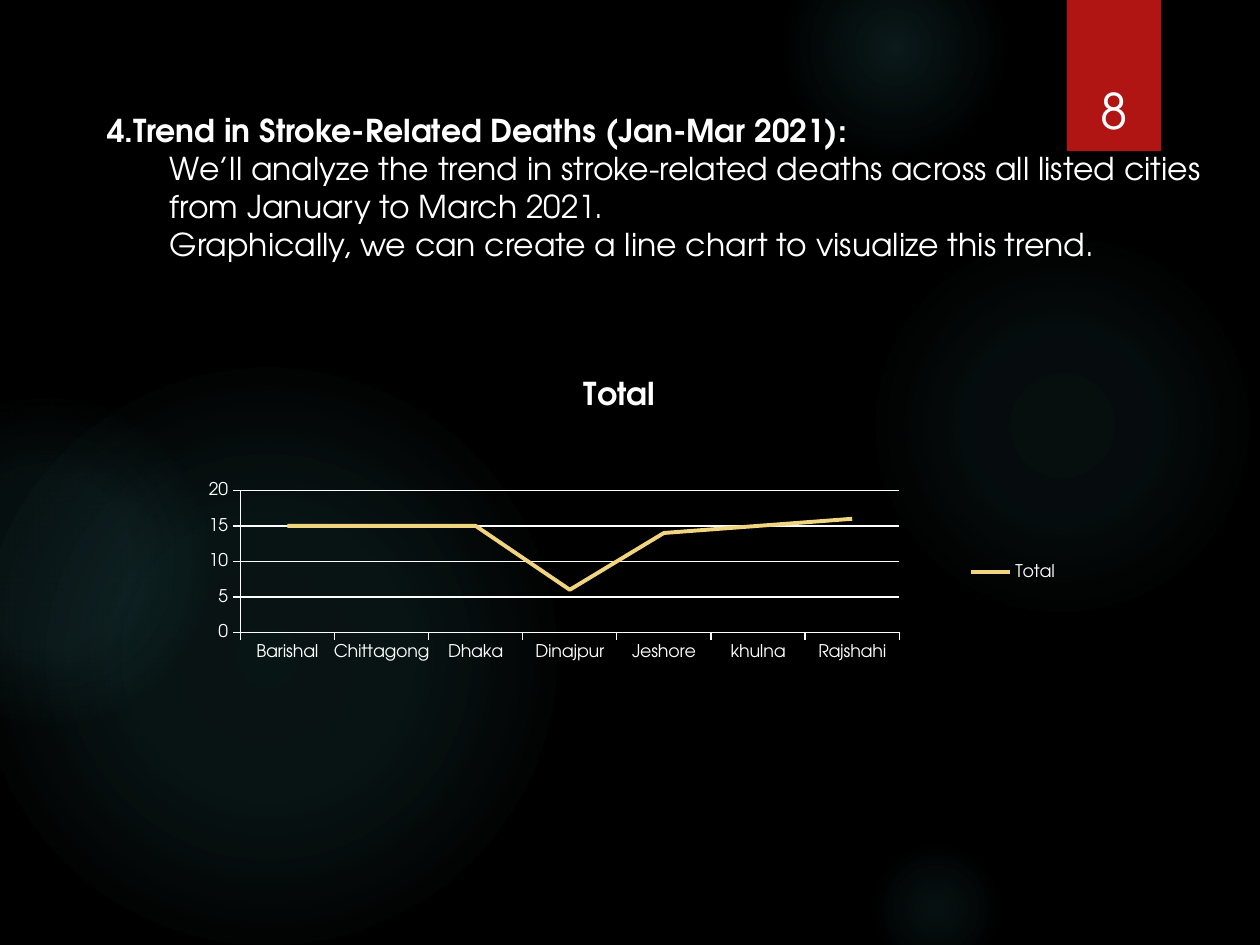
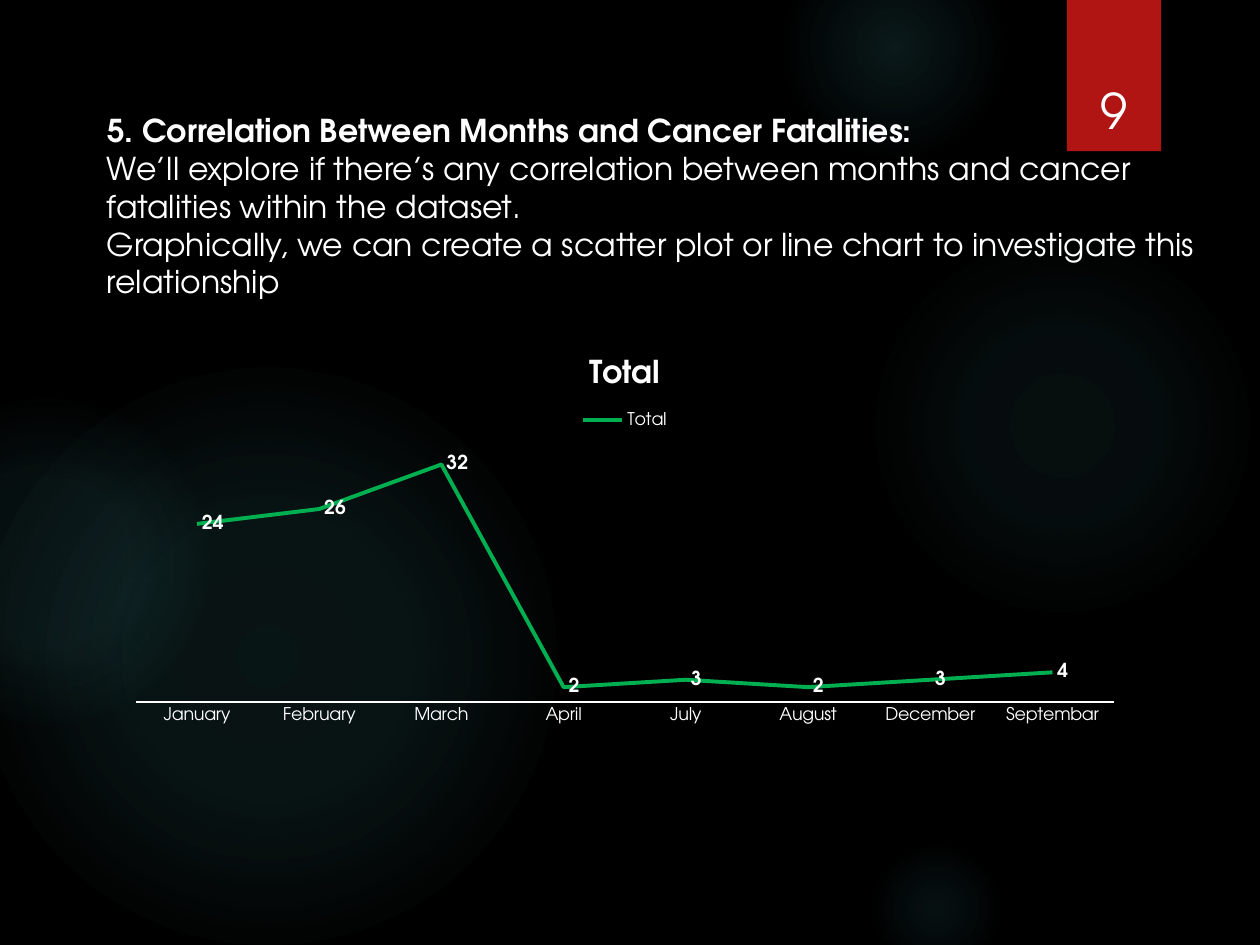
from dataclasses import dataclass

from pptx import Presentation
from pptx.chart.data import CategoryChartData as Data
from pptx.dml.color import RGBColor as Rgb
from pptx.enum.chart import XL_CHART_TYPE as Kind
from pptx.enum.chart import XL_LABEL_POSITION as Spot
from pptx.enum.chart import XL_LEGEND_POSITION as Side
from pptx.enum.chart import XL_TICK_MARK as Tick
from pptx.enum.shapes import MSO_SHAPE as Form
from pptx.enum.text import MSO_ANCHOR as Anchor
from pptx.enum.text import MSO_AUTO_SIZE as Fit
from pptx.enum.text import PP_ALIGN as Align
from pptx.oxml import parse_xml as to_xml
from pptx.oxml.ns import nsdecls, qn
from pptx.util import Inches, Pt

COLS, ROWS = 120, 90


@dataclass(frozen=True)
class Theme:
    face: str = "TeX Gyre Adventor"
    back: str = "000000"
    ink: str = "FFFFFF"
    glow: str = "50B9C1"
    band: str = "B01513"
    gold: str = "F0D47F"
    green: str = "00B050"
    head: int = 18
    body: int = 18
    page: int = 28
    axis: int = 10
    label: int = 11
    rule: float = 0.75
    trend: float = 2.25


THEME = Theme()

GLOWS = [
    (82.67, 22, 37, (7, 6), 69),
    (74.67, -6, 21, (14, 7), 73),
    (82.67, 80, 13, (9, 5), 66),
    (-2, 35, 55, (11, 10), 75),
    (-11, 38, 31, (8, 8), 72),
]


def style(font, size, color=THEME.ink, bold=False):
    font.name = THEME.face
    font.size = Pt(size)
    font.bold = bold
    font.color.rgb = Rgb.from_string(color)


def write(frame, text, size=THEME.body, bold=False, align=Align.LEFT,
          anchor=Anchor.TOP, level=0):
    frame.word_wrap = True
    frame.vertical_anchor = anchor
    frame.text = text
    for para in frame.paragraphs:
        para.alignment = align
        if level:
            para.level = level
            para._p.get_or_add_pPr().set("marL", str(Inches(0.5 * level)))
            para._p.get_or_add_pPr().set("indent", "0")
        for run in para.runs:
            style(run.font, size, bold=bold)


class Deck:
    def __init__(self, theme):
        self.theme = theme
        self.show = Presentation()
        self.show.slide_width = Inches(10)
        self.show.slide_height = Inches(7.5)
        fill = self.show.slide_master.background.fill
        fill.solid()
        fill.fore_color.rgb = Rgb.from_string(theme.back)
        self.slide = None

    def box(self, left, top, width, height):
        col = self.show.slide_width / COLS
        row = self.show.slide_height / ROWS
        return [round(n * unit) for n, unit in
                ((left, col), (top, row), (width, col), (height, row))]

    def shape(self, form, *area):
        shape = self.slide.shapes.add_shape(form, *self.box(*area))
        shape.shadow.inherit = False
        shape.line.fill.background()
        return shape

    def glow(self, left, top, size, alphas, edge):
        shape = self.shape(Form.OVAL, left, top, size, size)
        shape.fill.background()
        stops = "".join(
            f'<a:gs pos="{pos * 1000}"><a:srgbClr val="{self.theme.glow}">'
            f'<a:alpha val="{alpha * 1000}"/></a:srgbClr></a:gs>'
            for pos, alpha in zip((0, 36, edge), (*alphas, 0)))
        props = shape.element.spPr
        props.replace(props.find(qn("a:noFill")), to_xml(
            f'<a:gradFill {nsdecls("a")}><a:gsLst>{stops}</a:gsLst>'
            '<a:path path="circle"><a:fillToRect l="50000" t="50000" '
            'r="50000" b="50000"/></a:path></a:gradFill>'))

    def text(self, text, area, **format):
        box = self.slide.shapes.add_textbox(*self.box(*area))
        write(box.text_frame, text, **format)

    def title(self, text, *area):
        title = self.slide.shapes.title
        title.left, title.top, title.width, title.height = self.box(*area)
        self.slide.shapes.element.append(title.element)
        write(title.text_frame, text, size=self.theme.head, bold=True)
        title.text_frame.auto_size = Fit.NONE

    def start(self, page, head, body, level=0):
        self.slide = self.show.slides.add_slide(self.show.slide_layouts[5])
        for spot in GLOWS:
            self.glow(*spot)
        band = self.shape(Form.RECTANGLE, 101.6, 0, 9, 14.4)
        band.fill.solid()
        band.fill.fore_color.rgb = Rgb.from_string(self.theme.band)
        self.title(head, 9, 10, 92, 4.8)
        self.text("\n".join(body), (9, 13.6, 107, 15.8), level=level)
        self.text(str(page), (101.9, 3.8, 8.3, 10.1), size=self.theme.page,
                  align=Align.CENTER, anchor=Anchor.BOTTOM)

    def stroke(self, line, color, width):
        line.color.rgb = Rgb.from_string(color)
        line.width = Pt(width)

    def chart(self, area, points, color, top, step, plot, side,
              scale=True, labels=False):
        theme = self.theme
        data = Data()
        data.categories = list(points)
        data.add_series("Total", list(points.values()))
        chart = self.slide.shapes.add_chart(
            Kind.LINE, *self.box(*area), data).chart
        style(chart.font, theme.axis)
        chart.has_title = True
        write(chart.chart_title.text_frame, "Total", size=theme.head,
              bold=True, align=Align.CENTER)
        chart.has_legend = True
        chart.legend.position = side
        chart.legend.include_in_layout = False

        x_axis, y_axis = chart.category_axis, chart.value_axis
        for axis in (x_axis, y_axis):
            axis.major_tick_mark = Tick.OUTSIDE if scale else Tick.NONE
            self.stroke(axis.format.line, theme.ink, theme.rule)
        y_axis.minimum_scale = 0
        y_axis.maximum_scale = top
        y_axis.major_unit = step
        y_axis.visible = scale
        y_axis.has_major_gridlines = scale
        if scale:
            self.stroke(y_axis.major_gridlines.format.line,
                        theme.ink, theme.rule)

        lines = chart.plots[0]
        lines.vary_by_categories = False
        trend = lines.series[0]
        trend.smooth = False
        self.stroke(trend.format.line, color, theme.trend)
        if labels:
            lines.has_data_labels = True
            lines.data_labels.show_value = True
            lines.data_labels.position = Spot.RIGHT
            style(lines.data_labels.font, theme.label, bold=True)
        self.place(chart, plot)

    def place(self, chart, plot):
        area = chart.element.chart.plotArea
        for old in area.findall(qn("c:layout")):
            area.remove(old)
        parts = "".join(f'<c:{key}Mode val="edge"/>' for key in "xy")
        parts += "".join(f'<c:{key} val="{share}"/>'
                         for key, share in zip("xywh", plot))
        area.insert(0, to_xml(
            f'<c:layout {nsdecls("c")}><c:manualLayout>'
            f'<c:layoutTarget val="inner"/>{parts}'
            '</c:manualLayout></c:layout>'))


def main():
    deck = Deck(THEME)

    deck.start(8, "4.Trend in Stroke-Related Deaths (Jan-Mar 2021):", [
        "We’ll analyze the trend in stroke-related deaths across all listed "
        "cities from January to March 2021.",
        "Graphically, we can create a line chart to visualize this trend.",
    ], level=1)
    towns = {"Barishal": 15, "Chittagong": 15, "Dhaka": 15, "Dinajpur": 6,
             "Jeshore": 14, "khulna": 15, "Rajshahi": 16}
    deck.chart((16, 34, 86, 41), towns, THEME.gold, 20, 5,
               (0.08, 0.31, 0.73, 0.33), Side.RIGHT)

    deck.start(9, "5. Correlation Between Months and Cancer Fatalities:", [
        "We’ll explore if there’s any correlation between months and cancer "
        "fatalities within the dataset.",
        "Graphically, we can create a scatter plot or line chart to "
        "investigate this relationship",
    ])
    months = {"January": 24, "February": 26, "March": 32, "April": 2,
              "July": 3, "August": 2, "December": 3, "Septembar": 4}
    deck.chart((11, 32, 97, 37.5), months, THEME.green, 35, 5,
               (0.02, 0.27, 0.96, 0.66), Side.TOP, scale=False, labels=True)

    deck.show.save("out.pptx")


if __name__ == "__main__":
    main()
